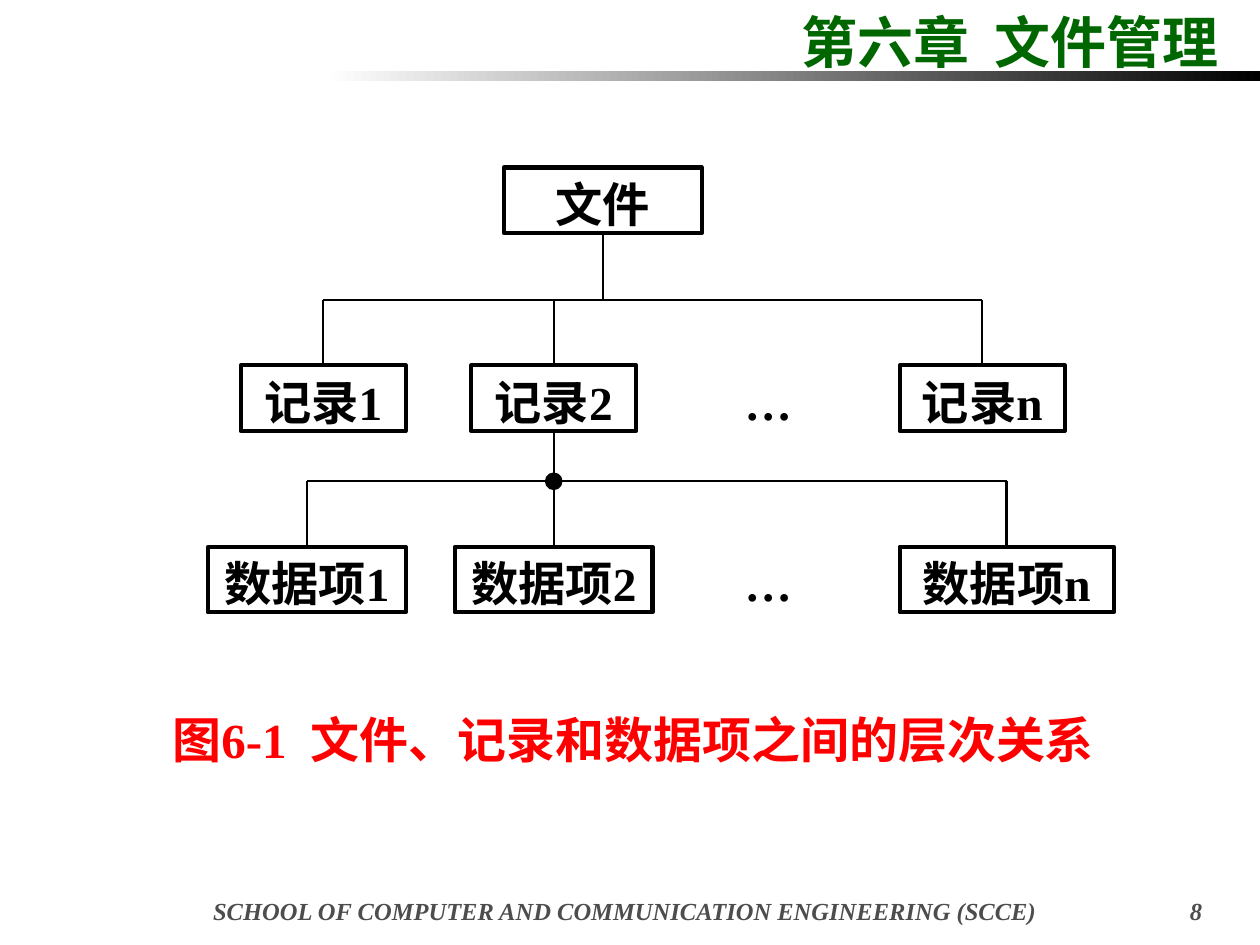
from lxml import etree
from pptx import Presentation
from pptx.dml.color import RGBColor
from pptx.enum.shapes import MSO_CONNECTOR, MSO_SHAPE
from pptx.enum.text import MSO_ANCHOR, PP_ALIGN
from pptx.oxml.ns import qn
from pptx.util import Inches, Pt

RECT, OVAL = MSO_SHAPE.RECTANGLE, MSO_SHAPE.OVAL
LINE = MSO_CONNECTOR.STRAIGHT
LEFT, MID, RIGHT = PP_ALIGN.LEFT, PP_ALIGN.CENTER, PP_ALIGN.RIGHT
TOP, BOTTOM = 0, 2
FONT, BLACK, WHITE = "Times New Roman", "000000", "FFFFFF"

# Content: text, place, size, colour, italic, alignment, wrap
TEXTS = [
    ("第六章  文件管理", (6.26, 0.01, 3.6, 0.64), 32, "006600", False, LEFT, True),
    ("图6-1  文件、记录和数据项之间的层次关系", (1.27, 5.58, 7.77, 0.57),
     28, "FF0000", False, LEFT, False),
    ("SCHOOL OF COMPUTER AND COMMUNICATION ENGINEERING (SCCE)",
     (1.22, 7.06, 7.48, 0.26), 14, "4D4D4D", True, MID, True),
    ("8", (8.7, 7.06, 0.94, 0.24), 14, "4D4D4D", True, RIGHT, True),
]
# Tree rows: top, then boxes as (word, mark, left, width)
ROOT = (1.33, [("文件", "", 4.0, 1.57)])
RECORDS = (2.9, [("记录", "1", 1.91, 1.31), ("记录", "2", 3.74, 1.31),
                 ("记录", "n", 7.14, 1.31)])
ITEMS = (4.34, [("数据项", "1", 1.65, 1.57), ("数据项", "2", 3.61, 1.57),
                ("数据项", "n", 7.14, 1.7)])
BOX_H, DROP, DOT = 0.52, 0.52, 0.13
DOTS_X, DOTS_W = 5.91, 0.38

prs = Presentation()
prs.slide_width, prs.slide_height = Inches(10), Inches(7.5)
slide = prs.slides.add_slide(prs.slide_layouts[6])
shapes = slide.shapes


def color(code):
    return RGBColor.from_string(code)


def place(x, y, w, h):
    return [Inches(v) for v in (x, y, w, h)]


def write(frame, parts, size, code, italic=False, align=MID):
    para = frame.paragraphs[0]
    para.alignment = align
    for part in filter(None, parts):
        run = para.add_run()
        run.text = part
        font = run.font
        font.name, font.size = FONT, Pt(size)
        font.bold, font.italic = True, italic
        font.color.rgb = color(code)


def label(text, at, size, code, italic, align, wrap, inset=True):
    frame = shapes.add_textbox(*place(*at)).text_frame
    frame.word_wrap = wrap
    if not inset:
        frame.margin_left = frame.margin_right = 0
        frame.margin_top = frame.margin_bottom = 0
    write(frame, [text], size, code, italic, align)


def solid(kind, at, fill, width):
    shape = shapes.add_shape(kind, *place(*at))
    shape.shadow.inherit = False
    shape.fill.solid()
    shape.fill.fore_color.rgb = color(fill)
    shape.line.color.rgb = color(BLACK)
    shape.line.width = Pt(width)
    return shape


def draw_row(top, boxes):
    made = []
    for word, mark, left, width in boxes:
        box = solid(RECT, (left, top, width, BOX_H), WHITE, 2.38)
        frame = box.text_frame
        frame.margin_left = frame.margin_right = frame.margin_bottom = 0
        frame.margin_top = Inches(0.05)
        frame.vertical_anchor = MSO_ANCHOR.MIDDLE
        write(frame, [word, mark], 27, BLACK)
        made.append(box)
    return made


def center(box):
    return box.left + box.width // 2


def link(x1, y1, x2, y2, start=None, end=None):
    line = shapes.add_connector(LINE, x1, y1, x2, y2)
    line.line.color.rgb = color(BLACK)
    line.line.width = Pt(1.39)
    etree.SubElement(line._element.spPr, qn("a:effectLst"))
    if start is not None:
        line.begin_connect(start, BOTTOM)
    if end is not None:
        line.end_connect(end, TOP)


def branch(parent, kids):
    """Join a parent to its children through a level bus line."""
    x, foot = center(parent), parent.top + parent.height
    bus = kids[0].top - Inches(DROP)
    below = [kid for kid in kids if abs(center(kid) - x) < Inches(0.02)]
    if below:
        link(x, foot, x, below[0].top, parent, below[0])
    else:
        link(x, foot, x, bus, start=parent)
    for kid in kids:
        if kid not in below:
            link(center(kid), bus, center(kid), kid.top, end=kid)
    link(center(kids[0]), bus, center(kids[-1]), bus)


# Header bar fading to the left
bar = shapes.add_shape(RECT, *place(2.58, 0.56, 7.42, 0.08))
bar.shadow.inherit = False
bar.line.fill.background()
bar.fill.gradient()
bar.fill.gradient_angle = 0
for stop, code, pos in zip(bar.fill.gradient_stops, (WHITE, BLACK), (0, 1)):
    stop.color.rgb = color(code)
    stop.position = pos

# Title, caption and footer
for item in TEXTS:
    label(*item)

# Tree
root, records, items = [draw_row(*row) for row in (ROOT, RECORDS, ITEMS)]
for top, _ in (RECORDS, ITEMS):
    label("…", (DOTS_X, top + 0.06, DOTS_W, 0.45), 27, BLACK, False, LEFT,
          False, inset=False)
branch(root[0], records)
branch(records[1], items)

# Junction dot on the lower bus
mid, bus = center(records[1]) / Inches(1), ITEMS[0] - DROP
solid(OVAL, (mid - DOT / 2, bus - DOT / 2, DOT, DOT), BLACK, 0.75)

prs.save("out.pptx")
